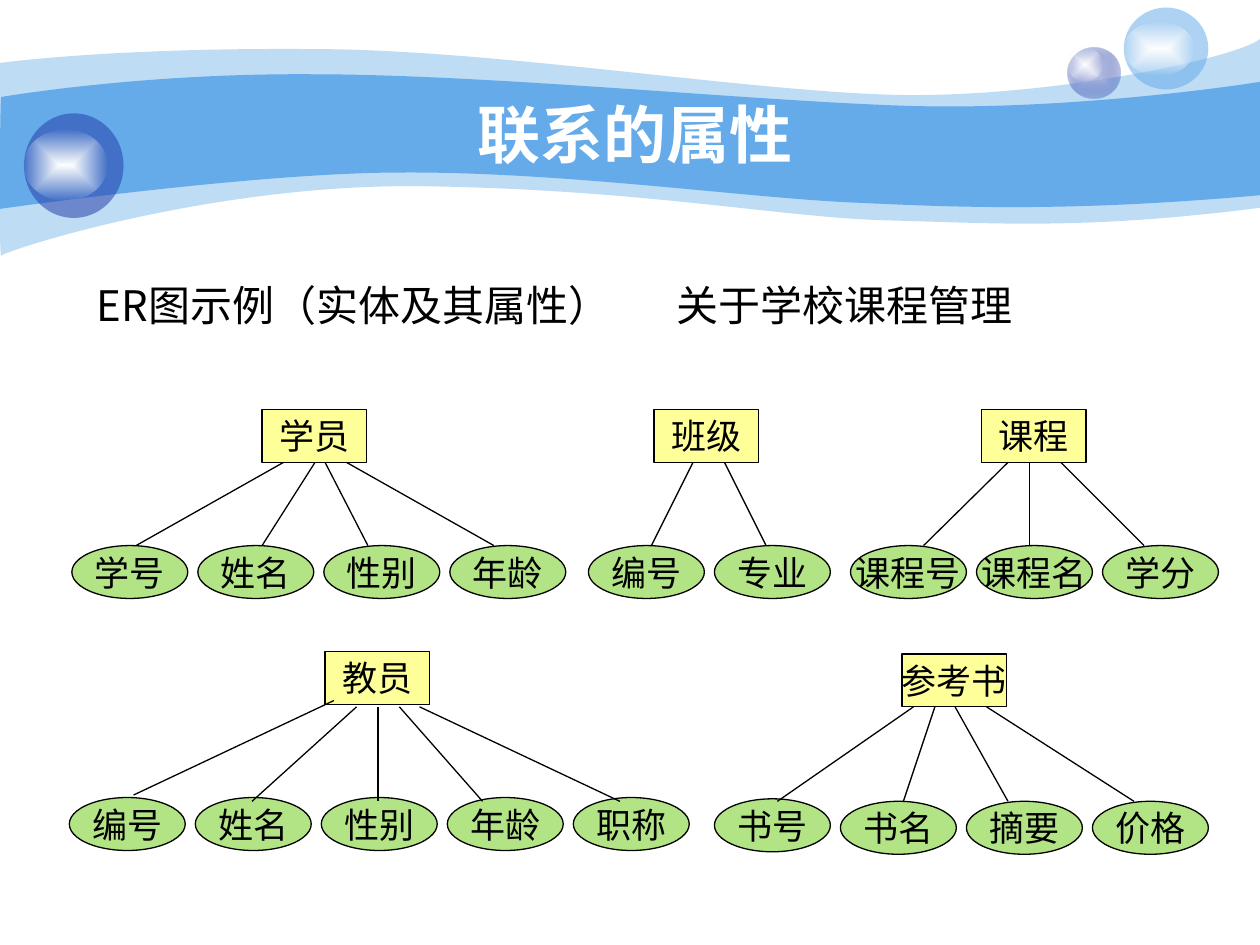
from lxml import etree
from pptx import Presentation
from pptx.dml.color import RGBColor
from pptx.enum.shapes import MSO_CONNECTOR, MSO_SHAPE
from pptx.enum.text import MSO_ANCHOR, PP_ALIGN
from pptx.oxml.ns import qn
from pptx.util import Inches, Pt

OVAL, RECT = MSO_SHAPE.OVAL, MSO_SHAPE.RECTANGLE
STRAIGHT = MSO_CONNECTOR.STRAIGHT
MIDDLE = MSO_ANCHOR.MIDDLE
LEFT, CENTER = PP_ALIGN.LEFT, PP_ALIGN.CENTER

FONT = "Noto Sans CJK SC"
BLACK, WHITE, SKY, NAVY = "000000", "FFFFFF", "65AAE9", "233DA9"
YELLOW, GREEN = "FFFF99", "B2E385"
NODE_HEIGHT, ENTITY_WIDTH, ATTRIBUTE_WIDTH = 0.42, 0.83, 0.92
ATTRIBUTE_STEP = 1

TITLE = "联系的属性"
SUBTITLE = "ER图示例（实体及其属性）\t关于学校课程管理"
SUBTITLE_TAB = 4.6

WAVES = [
    ((0, 0.5), 41, [
        [(0.24, 0.47), (1.07, 0.38), (2.47, 0.39)],
        [(3.86, 0.39), (5.75, 0.7), (6.99, 0.75)],
        [(8.22, 0.8), (9.8, 0.47), (10, 0.31)],
        [(10, 1.65)],
        [(8.58, 1.83), (7.87, 1.77), (7.05, 1.75)],
        [(6.22, 1.73), (5.15, 1.51), (3.43, 1.48)],
        [(1.72, 1.44), (0.04, 1.99), (0.01, 2.03)],
        [(-0.01, 2.08), (0, 0.75), (0, 0.5)],
    ]),
    ((0.01, 0.77), 100, [
        [(0.02, 0.77), (1.1, 0.58), (2.48, 0.59)],
        [(3.86, 0.59), (5.95, 0.8), (7.18, 0.84)],
        [(8.41, 0.88), (9.76, 0.69), (10, 0.65)],
        [(10, 1.55)],
        [(8.53, 1.68), (7.65, 1.65), (6.82, 1.61)],
        [(5.99, 1.58), (4.47, 1.36), (3.17, 1.37)],
        [(2.03, 1.37), (-0.02, 1.66), (-0.01, 1.66)],
        [(0, 1.66), (0, 0.77), (0.01, 0.77)],
    ]),
]

GLOW = [(WHITE, 100), (WHITE, 0)]
BUBBLES = [
    [((8.47, 0.38, 0.42, 0.4), [("C7CEE9", 100), (NAVY, 31)]),
     ((8.47, 0.38, 0.28, 0.27), GLOW)],
    [((8.92, 0.06, 0.67, 0.65), [(SKY, 53)]),
     ((8.92, 0.17, 0.56, 0.43), GLOW)],
    [((0.19, 0.9, 0.79, 0.83), [(NAVY, 53)]),
     ((0.19, 1.03, 0.66, 0.56), GLOW)],
]

UPPER_LINK, LOWER_LINK = (3.67, 4.33), (5.61, 6.36)
RAISED_LINK = (5.56, 6.31)

ENTITIES = [
    ("学员", (2.08, 3.25), 0.57, [
        ("学号", 4.33, (2.25, 1.08), UPPER_LINK),
        ("姓名", 4.33, (2.5, 2.08), UPPER_LINK),
        ("性别", 4.33, (2.58, 2.92), UPPER_LINK),
        ("年龄", 4.33, (2.75, 3.92), UPPER_LINK)]),
    ("班级", (5.19, 3.25), 4.67, [
        ("编号", 4.33, (5.5, 5.17), UPPER_LINK),
        ("专业", 4.33, (5.75, 6.08), UPPER_LINK)]),
    ("课程", (7.79, 3.25), 6.75, [
        ("课程号", 4.33, (8, 7.33), UPPER_LINK),
        ("课程名", 4.33, (8.17, 8.17), UPPER_LINK),
        ("学分", 4.33, (8.42, 9.08), UPPER_LINK)]),
    ("教员", (2.58, 5.17), 0.55, [
        ("编号", 6.33, (2.65, 1.06), RAISED_LINK),
        ("姓名", 6.33, (2.83, 2), LOWER_LINK),
        ("性别", 6.33, (3, 3), LOWER_LINK),
        ("年龄", 6.33, (3.17, 3.83), LOWER_LINK),
        ("职称", 6.33, (3.33, 4.92), LOWER_LINK)]),
    ("参考书", (7.16, 5.19), 5.67, [
        ("书号", 6.34, (7.25, 6.17), LOWER_LINK),
        ("书名", 6.36, (7.42, 7.17), LOWER_LINK),
        ("摘要", 6.36, (7.58, 8), LOWER_LINK),
        ("价格", 6.36, (7.83, 9), LOWER_LINK)]),
]


def color(value):
    return RGBColor.from_string(value)


def paint(shape, value, opacity=100):
    shape.shadow.inherit = False
    shape.line.fill.background()
    shape.fill.solid()
    shape.fill.fore_color.rgb = color(value)
    if opacity < 100:
        tint = shape.fill._xPr.find(qn("a:solidFill"))[0]
        etree.SubElement(tint, qn("a:alpha"), val=str(opacity * 1000))


def paint_glow(shape, stops):
    paint(shape, stops[0][0])
    solid = shape.fill._xPr.find(qn("a:solidFill"))
    gradient = etree.Element(qn("a:gradFill"), rotWithShape="1")
    stop_list = etree.SubElement(gradient, qn("a:gsLst"))
    for position, (value, opacity) in zip(("0", "100000"), stops):
        stop = etree.SubElement(stop_list, qn("a:gs"), pos=position)
        tint = etree.SubElement(stop, qn("a:srgbClr"), val=value)
        etree.SubElement(tint, qn("a:alpha"), val=str(opacity * 1000))
    center = etree.SubElement(gradient, qn("a:path"), path="rect")
    etree.SubElement(center, qn("a:fillToRect"),
                     {side: "50000" for side in "ltrb"})
    solid.getparent().replace(solid, gradient)


def write(shape, text, size, value=BLACK, align=CENTER, bold=False, wrap=False, tab=None):
    frame = shape.text_frame
    frame.word_wrap = wrap
    frame.vertical_anchor = MIDDLE
    para = frame.paragraphs[0]
    para.text = text
    para.alignment = align
    if tab:
        tabs = etree.SubElement(para._p.get_or_add_pPr(), qn("a:tabLst"))
        etree.SubElement(tabs, qn("a:tab"), pos=str(Inches(tab)), algn="l")
    font = para.font
    font.size, font.bold, font.name = Pt(size), bold, FONT
    font.color.rgb = color(value)
    etree.SubElement(font._element, qn("a:ea"), typeface=FONT)


def add_wave(page, start, segments):
    points = [(Inches(x), Inches(y)) for segment in segments for x, y in segment]
    builder = page.shapes.build_freeform(*map(Inches, start))
    builder.add_line_segments(points, close=True)
    wave = builder.convert_to_shape()
    steps = iter(list(wave._element.iter(qn("a:lnTo"))))
    for segment in segments:
        first = next(steps)
        if len(segment) == 3:
            curve = etree.Element(qn("a:cubicBezTo"))
            first.addprevious(curve)
            for step in (first, next(steps), next(steps)):
                curve.append(step[0])
                step.getparent().remove(step)
    return wave


def add_shape(page, kind, *place):
    return page.shapes.add_shape(kind, *map(Inches, place))


def add_node(page, kind, text, left, top, width, fill):
    node = add_shape(page, kind, left, top, width, NODE_HEIGHT)
    paint(node, fill)
    node.line.color.rgb = color(BLACK)
    node.line.width = Pt(0.75)
    write(node, text, 20)


def add_link(page, xs, ys):
    ends = (xs[0], ys[0], xs[1], ys[1])
    link = page.shapes.add_connector(STRAIGHT, *map(Inches, ends))
    link.line.color.rgb = color(BLACK)
    link.line.width = Pt(0.75)
    etree.SubElement(link._element.spPr, qn("a:effectLst"))


def main():
    deck = Presentation()
    deck.slide_width, deck.slide_height = Inches(10), Inches(7.5)
    page = deck.slides.add_slide(deck.slide_layouts[6])
    for start, opacity, segments in WAVES:
        paint(add_wave(page, start, segments), SKY, opacity)
    for layers in BUBBLES:
        group = page.shapes.add_group_shape()
        for place, stops in layers:
            bubble = add_shape(group, OVAL, *place)
            if len(stops) == 1:
                paint(bubble, *stops[0])
            else:
                paint_glow(bubble, stops)
    title = page.shapes.add_textbox(*map(Inches, (1, 0.75, 8.08, 0.62)))
    write(title, TITLE, 36, WHITE, bold=True, wrap=True)
    for name, (left, top), first, attributes in ENTITIES:
        add_node(page, RECT, name, left, top, ENTITY_WIDTH, YELLOW)
        for index, (label, level, _, _) in enumerate(attributes):
            add_node(page, OVAL, label, first + index * ATTRIBUTE_STEP, level,
                     ATTRIBUTE_WIDTH, GREEN)
        for _, _, xs, ys in attributes:
            add_link(page, xs, ys)
    subtitle = page.shapes.add_textbox(*map(Inches, (0.67, 2.08, 8.58, 0.67)))
    write(subtitle, SUBTITLE, 24, align=LEFT, wrap=True, tab=SUBTITLE_TAB)
    deck.save("out.pptx")


if __name__ == "__main__":
    main()
